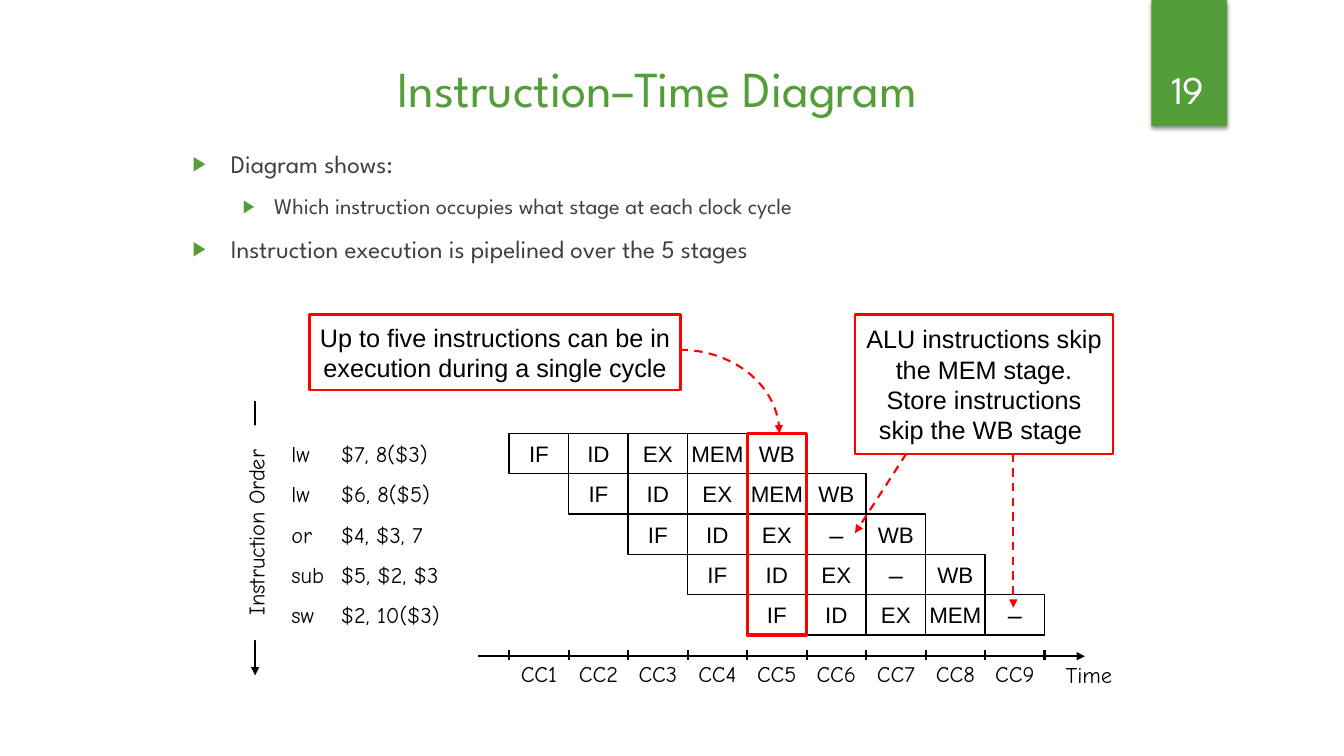
from dataclasses import dataclass
from math import cos, pi, sin

from lxml import etree
from pptx import Presentation
from pptx.dml.color import RGBColor
from pptx.enum.dml import MSO_LINE
from pptx.enum.shapes import MSO_CONNECTOR, MSO_SHAPE
from pptx.enum.text import MSO_ANCHOR, MSO_AUTO_SIZE, PP_ALIGN
from pptx.oxml.ns import qn
from pptx.util import Inches, Pt

RECT, STRAIGHT, DASH = MSO_SHAPE.RECTANGLE, MSO_CONNECTOR.STRAIGHT, MSO_LINE.DASH
LEFT, CENTER = PP_ALIGN.LEFT, PP_ALIGN.CENTER
TOP, MIDDLE, BOTTOM = MSO_ANCHOR.TOP, MSO_ANCHOR.MIDDLE, MSO_ANCHOR.BOTTOM
GREEN, GREY, BLACK, RED, WHITE = "549E39", "404040", "000000", "FF0000", "FFFFFF"
HEADING, SANS, HAND = "League Spartan", "Arial", "Comic Neue"
GRID_X, GRID_Y, CELL_W, CELL_H = 5.05, 4.3, 0.59, 0.4
CYCLES = 9
AXIS_Y = 6.51


@dataclass
class Instruction:
    text: str
    stages: str


@dataclass
class Bullet:
    text: str
    size: int
    margin: float
    hanging: float
    level: int = 0


@dataclass
class Callout:
    text: str
    box: tuple[float, float, float, float]
    inset: float = 0


@dataclass
class Line:
    start: tuple[float, float]
    end: tuple[float, float]
    color: str = BLACK
    width: float = 1.5
    arrow: bool = True
    dashed: bool = False


INSTRUCTIONS = [
    Instruction("lw\t$7, 8($3)", "IF ID EX MEM WB"),
    Instruction("lw\t$6, 8($5)", "IF ID EX MEM WB"),
    Instruction("or\t$4, $3, 7", "IF ID EX – WB"),
    Instruction("sub\t$5, $2, $3", "IF ID EX – WB"),
    Instruction("sw\t$2, 10($3)", "IF ID EX MEM –"),
]
BULLETS = [
    Bullet("Diagram shows:", 18, 0.38, 0.38),
    Bullet("Which instruction occupies what stage at each clock cycle", 16, 0.81, 0.31, 1),
    Bullet("Instruction execution is pipelined over the 5 stages", 18, 0.38, 0.38),
]
CALLOUTS = [
    Callout("Up to five instructions can be in execution during a single cycle",
            (3.07, 3.12, 3.68, 0.75)),
    Callout("ALU instructions skip the MEM stage. Store instructions skip the WB stage ",
            (8.48, 3.12, 2.56, 1.38), 0.08),
]
POINTERS = [
    Line((8.99, 4.5), (8.48, 5.29), RED, dashed=True),
    Line((10.05, 4.5), (10.05, 6.03), RED, dashed=True),
]


def rgb(color: str) -> RGBColor:
    return RGBColor.from_string(color)


def add_xml(parent, tag: str, **attrs):
    return etree.SubElement(parent, qn(tag), {k: str(v) for k, v in attrs.items()})


def place(s, box) -> None:
    s.left, s.top, s.width, s.height = map(Inches, box)


def write(tf, text: str, *, size: float, font: str = SANS, color: str = BLACK,
          align=CENTER, anchor=MIDDLE, inset=(0, 0), first: bool = True):
    """Set the text frame up and write one paragraph in it."""
    tf.word_wrap, tf.auto_size, tf.vertical_anchor = True, MSO_AUTO_SIZE.NONE, anchor
    tf.margin_left = tf.margin_right = Inches(inset[0])
    tf.margin_top = tf.margin_bottom = Inches(inset[1])
    p = tf.paragraphs[0] if first else tf.add_paragraph()
    p.alignment = align
    r = p.add_run()
    r.text = text
    r.font.size, r.font.name = Pt(size), font
    r.font.color.rgb = rgb(color)
    return p


def add_rect(shapes, box, fill: str = "", line: str = "", width: float = 1):
    s = shapes.add_shape(RECT, *map(Inches, box))
    s.shadow.inherit = False
    if fill:
        s.fill.solid()
        s.fill.fore_color.rgb = rgb(fill)
    else:
        s.fill.background()
    if line:
        s.line.color.rgb, s.line.width = rgb(line), Pt(width)
    else:
        s.line.fill.background()
    return s


def add_label(shapes, box, text: str, **fmt):
    return write(shapes.add_textbox(*map(Inches, box)).text_frame, text, **fmt)


def style_line(s, line: Line) -> None:
    s.line.color.rgb, s.line.width = rgb(line.color), Pt(line.width)
    if line.dashed:
        s.line.dash_style = DASH
    if line.arrow:
        add_xml(s.line._get_or_add_ln(), "a:tailEnd", type="triangle")


def add_line(shapes, line: Line) -> None:
    s = shapes.add_connector(STRAIGHT, *map(Inches, line.start + line.end))
    style_line(s, line)
    add_xml(s._element.spPr, "a:effectLst")


def add_quarter_arc(shapes, line: Line, steps: int = 24) -> None:
    (x0, y0), (x1, y1) = line.start, line.end
    angles = [pi / 2 * i / steps for i in range(steps + 1)]
    points = [(Inches(x0 + (x1 - x0) * sin(a)), Inches(y1 - (y1 - y0) * cos(a)))
              for a in angles]
    builder = shapes.build_freeform(*points[0], scale=1.0)
    builder.add_line_segments(points[1:], close=False)
    s = builder.convert_to_shape()
    s.shadow.inherit = False
    s.fill.background()
    style_line(s, line)


def add_page_tab(shapes) -> None:
    s = add_rect(shapes, (11.42, 0, 0.75, 1.25), fill=GREEN)
    shadow = add_xml(s._element.spPr.find(qn("a:effectLst")), "a:outerShdw",
                     blurRad=Pt(3), dist=Pt(2), dir=5400000, rotWithShape=0)
    add_xml(add_xml(shadow, "a:srgbClr", val=BLACK), "a:alpha", val=45000)
    add_label(shapes, (11.32, 0.32, 0.92, 0.84), "19", size=28, font=HEADING,
              color=WHITE, anchor=BOTTOM, inset=(0.1, 0.05))


def add_heading(shapes, body) -> None:
    place(shapes.title, (1.73, 0.47, 9.58, 0.8))
    write(shapes.title.text_frame, "Instruction–Time Diagram", size=36, font=HEADING,
          color=GREEN, inset=(0, 0.05))
    place(body, (1.81, 1.42, 9, 1.49))
    for i, b in enumerate(BULLETS):
        p = write(body.text_frame, b.text, size=b.size, font=HEADING, color=GREY,
                  align=LEFT, anchor=TOP, inset=(0.1, 0.05), first=i == 0)
        p.level, p.space_before = b.level, Pt(10)
        ppr = p._p.get_or_add_pPr()
        ppr.set("marL", str(Inches(b.margin)))
        ppr.set("indent", str(-Inches(b.hanging)))
        add_xml(add_xml(ppr, "a:buClr"), "a:srgbClr", val=GREEN)
        add_xml(ppr, "a:buSzPct", val=80000)
        add_xml(ppr, "a:buChar", char="▶")


def add_pipeline(shapes) -> None:
    for row, instruction in enumerate(INSTRUCTIONS):
        y = GRID_Y + row * CELL_H
        p = add_label(shapes, (2.89, y, 1.89, CELL_H), instruction.text, size=16,
                      font=HAND, align=LEFT, inset=(0, 0.05))
        tabs = add_xml(p._p.get_or_add_pPr(), "a:tabLst")
        add_xml(tabs, "a:tab", pos=Inches(0.49), algn="l")
        for col, stage in enumerate(instruction.stages.split(), start=row):
            s = add_rect(shapes, (GRID_X + col * CELL_W, y, CELL_W, CELL_H), line=BLACK)
            write(s.text_frame, stage, size=18 if stage == "–" else 16)


def add_axes(shapes) -> None:
    add_line(shapes, Line((4.74, AXIS_Y), (10.76, AXIS_Y)))
    add_label(shapes, (10.31, AXIS_Y, 0.98, 0.37), "Time", size=16, font=HAND,
              anchor=TOP, inset=(0.1, 0.05))
    for i in range(CYCLES + 1):
        x = GRID_X + i * CELL_W
        add_line(shapes, Line((x, 6.45), (x, 6.55), arrow=False))
        if i < CYCLES:
            add_label(shapes, (x, 6.55, CELL_W, 0.3), f"CC{i + 1}", size=16, font=HAND,
                      anchor=TOP)
    add_line(shapes, Line((2.53, 3.98), (2.53, 6.7), width=1))
    s = add_rect(shapes, (1.47, 5.09, 2.13, 0.39), fill=WHITE)
    s.rotation = 270
    write(s.text_frame, "Instruction Order", size=16, font=HAND)


def add_callouts(shapes) -> None:
    add_quarter_arc(shapes, Line((6.74, 3.47), (7.73, 4.3), RED, dashed=True))
    add_rect(shapes, (GRID_X + 4 * CELL_W, GRID_Y, CELL_W, 5 * CELL_H), line=RED, width=2.25)
    for c in CALLOUTS:
        s = add_rect(shapes, c.box, line=RED, width=1.5)
        write(s.text_frame, c.text, size=18, inset=(c.inset, 0))
    for pointer in POINTERS:
        add_line(shapes, pointer)


def main() -> None:
    prs = Presentation()
    prs.slide_width, prs.slide_height = Inches(13.33), Inches(7.5)
    slide = prs.slides.add_slide(prs.slide_layouts[1])
    add_page_tab(slide.shapes)
    add_heading(slide.shapes, slide.placeholders[1])
    add_pipeline(slide.shapes)
    add_axes(slide.shapes)
    add_callouts(slide.shapes)
    prs.save("out.pptx")


if __name__ == "__main__":
    main()
